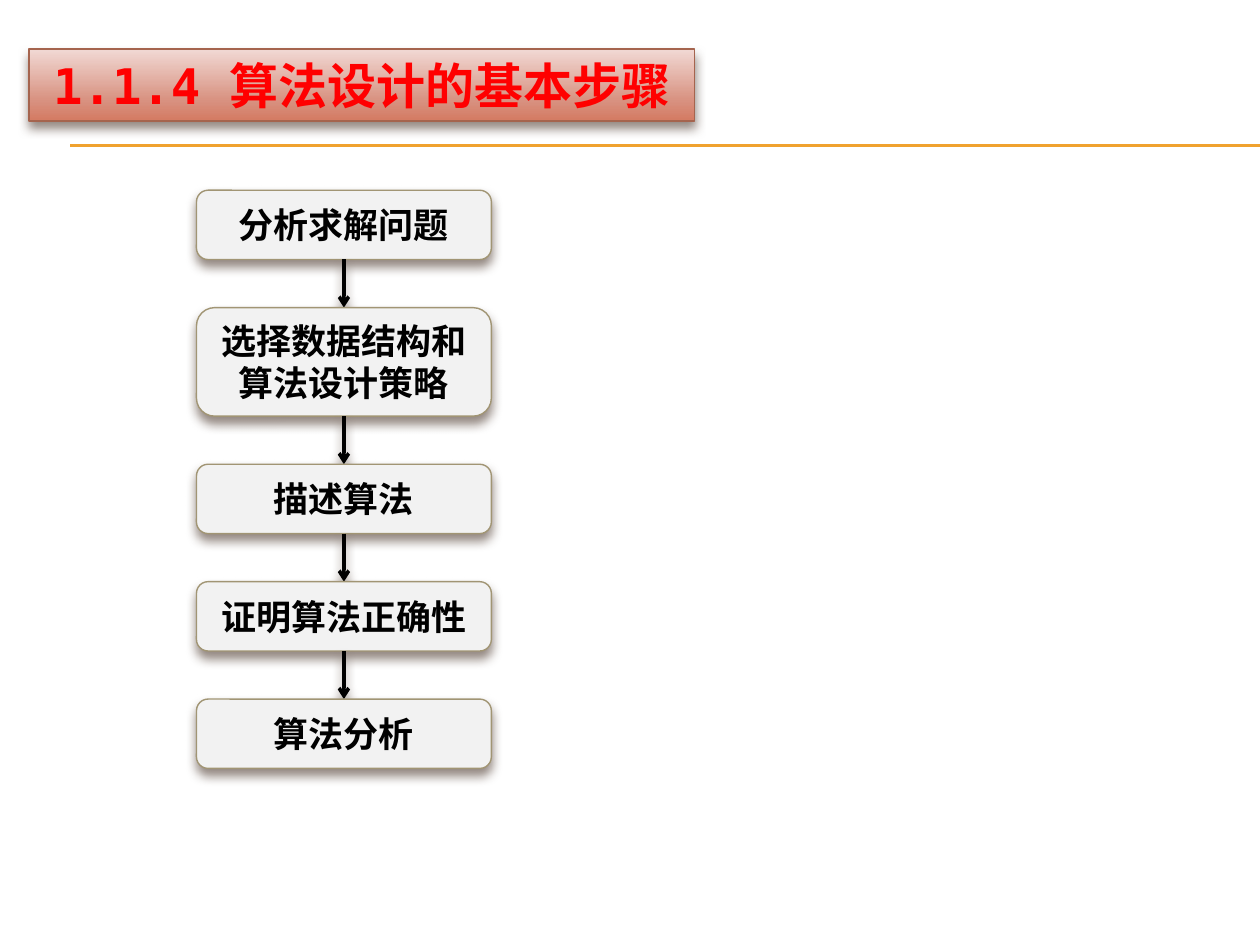
"""Build a slide on the basic steps of algorithm design."""
from copy import deepcopy

from lxml.etree import SubElement
from pptx import Presentation
from pptx.dml.color import RGBColor
from pptx.enum.shapes import MSO_CONNECTOR, MSO_SHAPE
from pptx.enum.text import MSO_ANCHOR, PP_ALIGN
from pptx.oxml.ns import qn
from pptx.util import Pt

INK = {
    "title": "FF0000", "text": "000000", "box": "F2F2F2", "edge": "A19574",
    "frame": "A5644E", "rule": "F0A22E", "shade": "4E3B30",
    "top": "F1D9D4", "mid": "D89180", "low": "D47A62",
}
STEPS = [
    ("分析求解问题", 39.6),
    ("选择数据结构和算法设计策略", 62),
    ("描述算法", 39.6),
    ("证明算法正确性", 39.6),
    ("算法分析", 39.6),
]
LEFT, TOP, WIDTH, GAP = 112.3, 108.7, 168.5, 27.5


def rgb(name):
    return RGBColor.from_string(INK[name])


def set_line(shape, name, width):
    shape.line.color.rgb = rgb(name)
    shape.line.width = Pt(width)


def set_shade(shape, cast=True):
    part = SubElement(shape._element.spPr, qn("a:effectLst"))
    if cast:
        drop = SubElement(part, qn("a:outerShdw"), blurRad=str(Pt(6)),
                          dist=str(Pt(4)), dir="5400000", rotWithShape="0")
        tint = SubElement(drop, qn("a:srgbClr"), val=INK["shade"])
        SubElement(tint, qn("a:alpha"), val="60000")


def set_text(shape, text, size, face, name):
    frame = shape.text_frame
    frame.text = text
    frame.vertical_anchor = MSO_ANCHOR.MIDDLE
    frame.word_wrap = True
    par = frame.paragraphs[0]
    par.alignment = PP_ALIGN.CENTER
    par.space_before = Pt(0)
    font = par.runs[0].font
    font.size, font.bold, font.name = Pt(size), True, face
    font.color.rgb = rgb(name)
    SubElement(font._element, qn("a:ea"), typeface="Noto Sans CJK SC")


def set_blend(shape):
    fill = shape.fill
    fill.gradient()
    fill.gradient_angle = 270
    stops = shape._element.spPr.find(".//" + qn("a:gsLst"))
    stops.append(deepcopy(stops[-1]))
    ramp = [("top", 0), ("mid", 0.72), ("low", 1)]
    for stop, (name, place) in zip(fill.gradient_stops, ramp):
        stop.color.rgb = rgb(name)
        stop.position = place


def add_title(slide, text):
    title = slide.shapes.title
    title.left, title.top = Pt(16.6), Pt(28.1)
    title.width, title.height = Pt(380.2), Pt(41)
    set_text(title, text, 28, "DejaVu Sans Mono", "title")
    set_blend(title)
    set_line(title, "frame", 0.79)
    set_shade(title)


def add_line(slide, start, end, name, width):
    line = slide.shapes.add_connector(
        MSO_CONNECTOR.STRAIGHT, *map(Pt, start + end))
    set_line(line, name, width)
    return line


def add_rule(slide, top):
    set_shade(add_line(slide, (40.3, top), (720, top), "rule", 0.75), False)


def add_arrow(slide, top):
    mid = LEFT + WIDTH / 2
    line = add_line(slide, (mid, top), (mid, top + GAP), "text", 2)
    SubElement(line._element.spPr.find(qn("a:ln")), qn("a:tailEnd"),
               type="arrow")
    set_shade(line)


def add_step(slide, text, top, height):
    box = slide.shapes.add_shape(
        MSO_SHAPE.ROUNDED_RECTANGLE, *map(Pt, (LEFT, top, WIDTH, height)))
    box.fill.solid()
    box.fill.fore_color.rgb = rgb("box")
    set_line(box, "edge", 0.79)
    set_shade(box)
    set_text(box, text, 20, "Noto Sans CJK SC", "text")


def main():
    deck = Presentation()
    deck.slide_width, deck.slide_height = Pt(720), Pt(540)
    slide = deck.slides.add_slide(deck.slide_layouts[5])
    for top in (82.8, 83.5):
        add_rule(slide, top)
    add_title(slide, "1.1.4 算法设计的基本步骤")
    top = TOP
    for rank, (text, height) in enumerate(STEPS):
        if rank:
            add_arrow(slide, top - GAP)
        add_step(slide, text, top, height)
        top += height + GAP
    deck.save("out.pptx")


if __name__ == "__main__":
    main()
